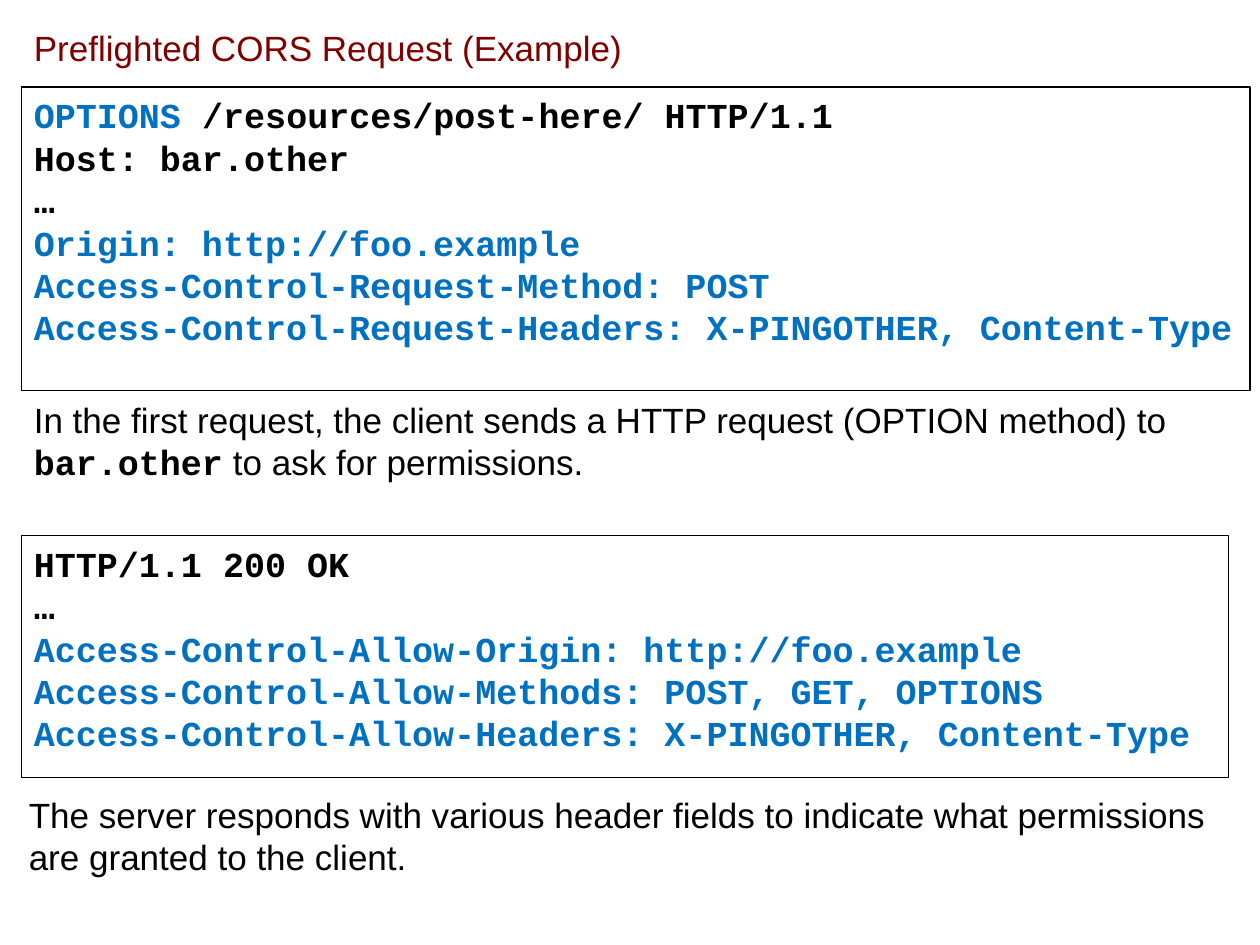
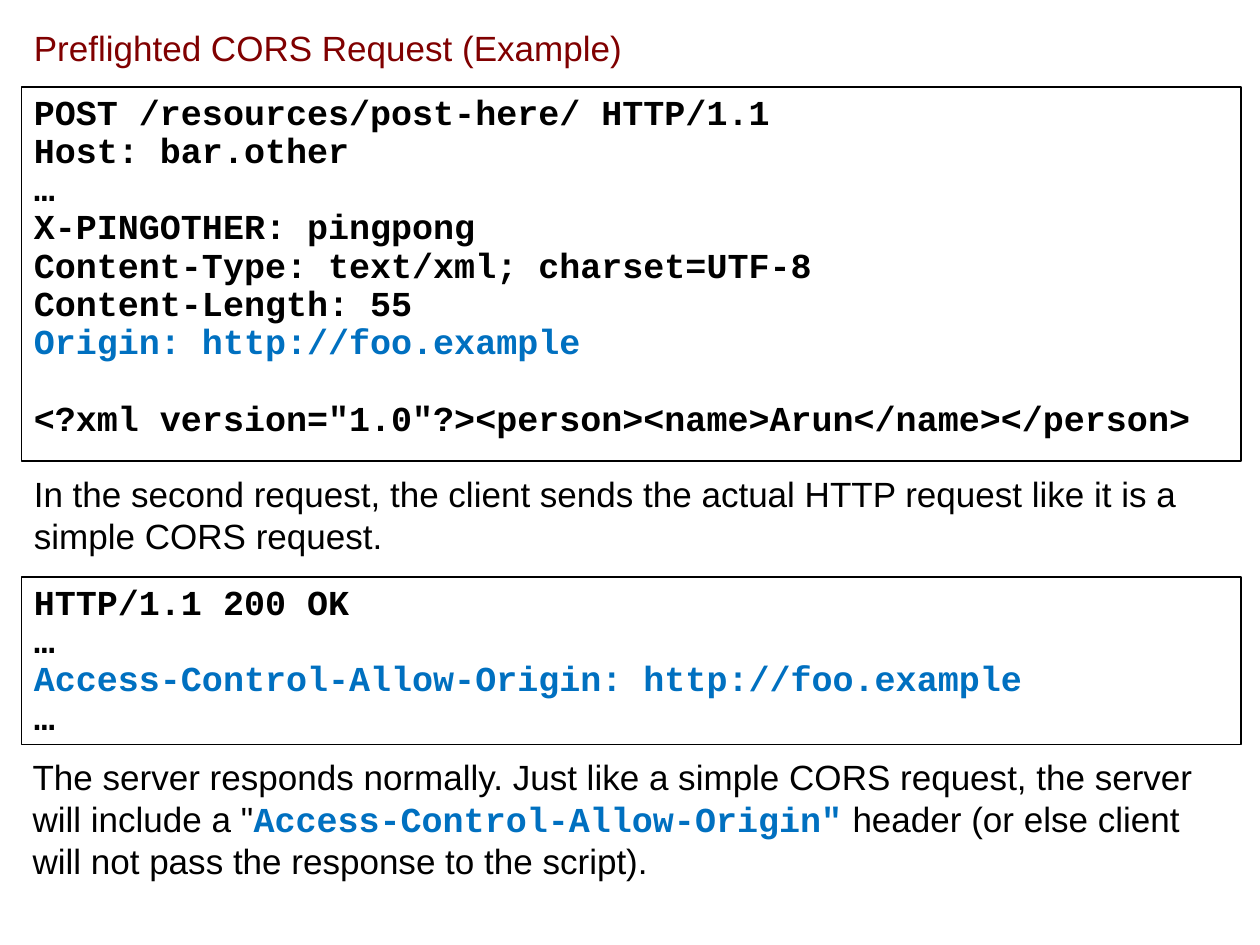
from pptx import Presentation
from pptx.dml.color import RGBColor
from pptx.enum.shapes import MSO_SHAPE
from pptx.enum.text import MSO_ANCHOR, PP_ALIGN
from pptx.util import Inches, Pt

RECTANGLE = MSO_SHAPE.RECTANGLE
TOP, MIDDLE = MSO_ANCHOR.TOP, MSO_ANCHOR.MIDDLE
LEFT = PP_ALIGN.LEFT

BLACK, WHITE, MAROON, BLUE = "000000", "FFFFFF", "800000", "0070C0"
SANS, MONO = "Arial", "Courier New"
MARGIN = 0.17


def rgb(value):
    return RGBColor.from_string(value)


def black(text):
    return text, MONO, BLACK


def blue(text):
    return text, MONO, BLUE


def plain(text):
    return text, SANS, BLACK


class Deck:
    size = Pt(20)
    gap = Pt(5)

    def __init__(self):
        self.prs = Presentation()
        self.prs.slide_width = Inches(10)
        self.prs.slide_height = Inches(7.5)
        self.s = None

    def slide(self, title):
        self.s = self.prs.slides.add_slide(self.prs.slide_layouts[6])
        sp = self.s.shapes.add_textbox(
            Inches(MARGIN), Inches(0.18), Inches(9.42), Inches(0.4))
        self.fill_text(sp, [[(title, SANS, MAROON)]], anchor=MIDDLE)

    def fill_text(self, sp, lines, inset=0.05, spacing=1.0, anchor=TOP):
        tf = sp.text_frame
        tf.word_wrap = True
        tf.vertical_anchor = anchor
        tf.margin_top = Inches(inset)
        for i, runs in enumerate(lines):
            p = tf.add_paragraph() if i else tf.paragraphs[0]
            p.alignment = LEFT
            p.line_spacing = spacing
            p.space_before = self.gap if i else Pt(0)
            for text, font, color in runs:
                r = p.add_run()
                r.text = text
                r.font.size = self.size
                r.font.name = font
                r.font.bold = font == MONO
                r.font.color.rgb = rgb(color)

    def note(self, top, height, runs, left=MARGIN, width=9.68):
        sp = self.s.shapes.add_textbox(
            Inches(left), Inches(top), Inches(width), Inches(height))
        self.fill_text(sp, [runs])

    def code(self, top, width, height, lines, spacing):
        sp = self.s.shapes.add_shape(
            RECTANGLE, Inches(MARGIN), Inches(top), Inches(width), Inches(height))
        sp.shadow.inherit = False
        sp.fill.solid()
        sp.fill.fore_color.rgb = rgb(WHITE)
        sp.line.color.rgb = rgb(BLACK)
        sp.line.width = Pt(0.75)
        self.fill_text(sp, lines, inset=0.12, spacing=spacing)
        return sp


def main():
    deck = Deck()
    title = "Preflighted CORS Request (Example)"
    host = [black("Host: bar.other")]
    dots = [black("…")]
    status = [black("HTTP/1.1 200 OK")]
    origin = [blue("Origin: http://foo.example")]
    allow_origin = [blue("Access-Control-Allow-Origin: http://foo.example")]

    deck.slide(title)
    deck.code(0.69, 9.75, 2.41, [
        [blue("OPTIONS"), black(" /resources/post-here/ HTTP/1.1")],
        host,
        dots,
        origin,
        [blue("Access-Control-Request-Method: POST")],
        [blue("Access-Control-Request-Headers: X-PINGOTHER, Content-Type")],
    ], spacing=0.8)
    deck.note(3.11, 0.91, [
        plain("In the first request, the client sends a HTTP request (OPTION method) to "),
        black("bar.other"),
        plain(" to ask for permissions."),
    ])
    deck.code(4.25, 9.58, 1.92, [
        status,
        dots,
        allow_origin,
        [blue("Access-Control-Allow-Methods: POST, GET, OPTIONS")],
        [blue("Access-Control-Allow-Headers: X-PINGOTHER, Content-Type")],
    ], spacing=0.8)
    deck.note(6.25, 1, [
        plain("The server responds with various header fields to indicate what "
              "permissions are granted to the client."),
    ], left=0.13, width=9.58)

    deck.slide(title)
    request = deck.code(0.69, 9.68, 2.97, [
        [black("POST /resources/post-here/ HTTP/1.1")],
        host,
        dots,
        [black("X-PINGOTHER: pingpong")],
        [black("Content-Type: text/xml; charset=UTF-8")],
        [black("Content-Length: 55")],
        origin,
        [black('<?xml version="1.0"?><person><name>Arun</name></person>')],
    ], spacing=0.7)
    body = request.text_frame.paragraphs[-1]
    body.space_before = Pt(27)
    deck.note(3.7, 0.85, [
        plain("In the second request, the client sends the actual HTTP request "
              "like it is a simple CORS request."),
    ])
    deck.code(4.58, 9.68, 1.33, [status, dots, allow_origin, dots], spacing=0.7)
    deck.note(5.95, 1.3, [
        plain("The server responds normally. Just like a simple CORS request, "
              'the server will include a "'),
        blue('Access-Control-Allow-Origin"'),
        plain(" header (or else client will not pass the response to the script)."),
    ], left=0.16)

    deck.prs.save("out.pptx")


if __name__ == "__main__":
    main()
